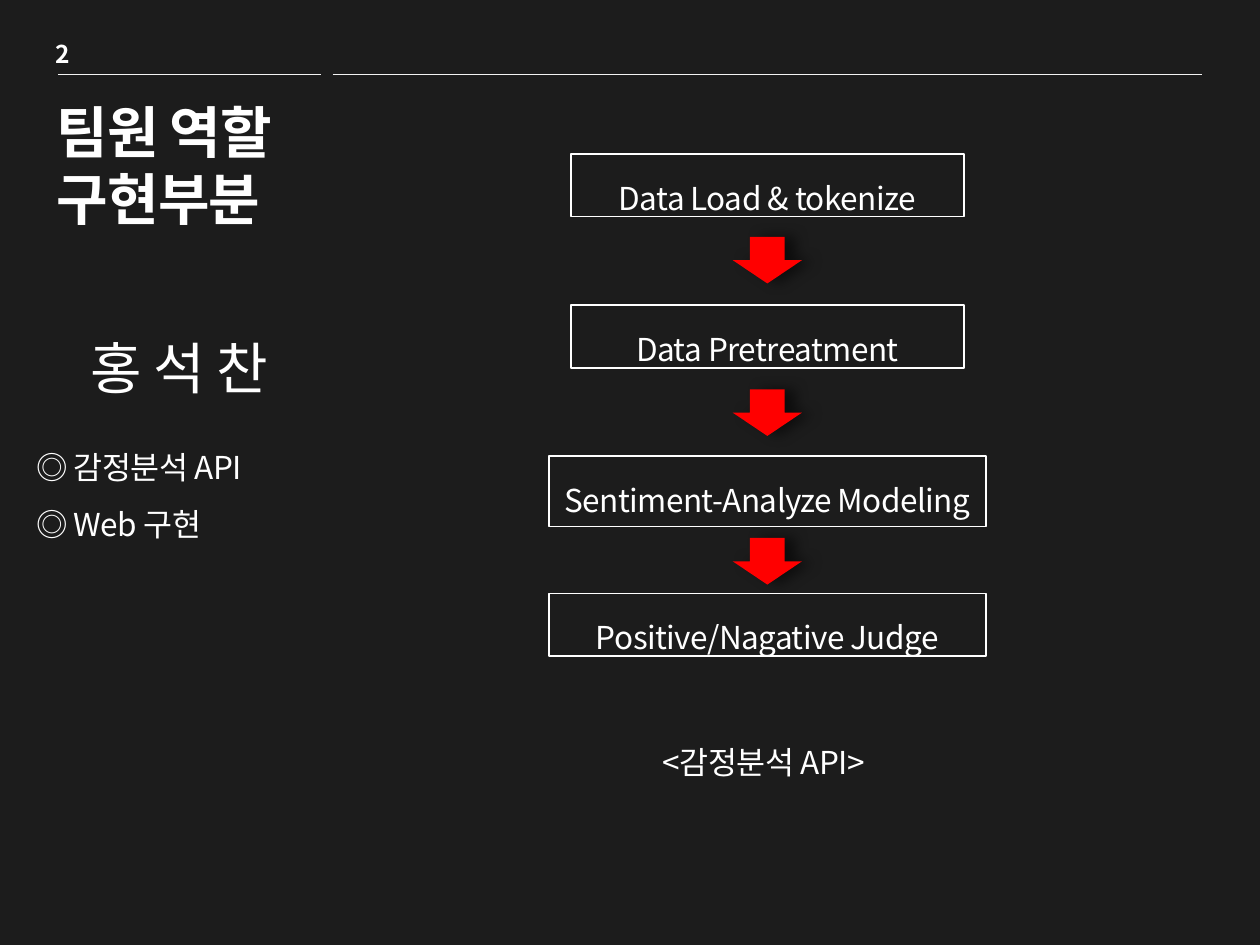
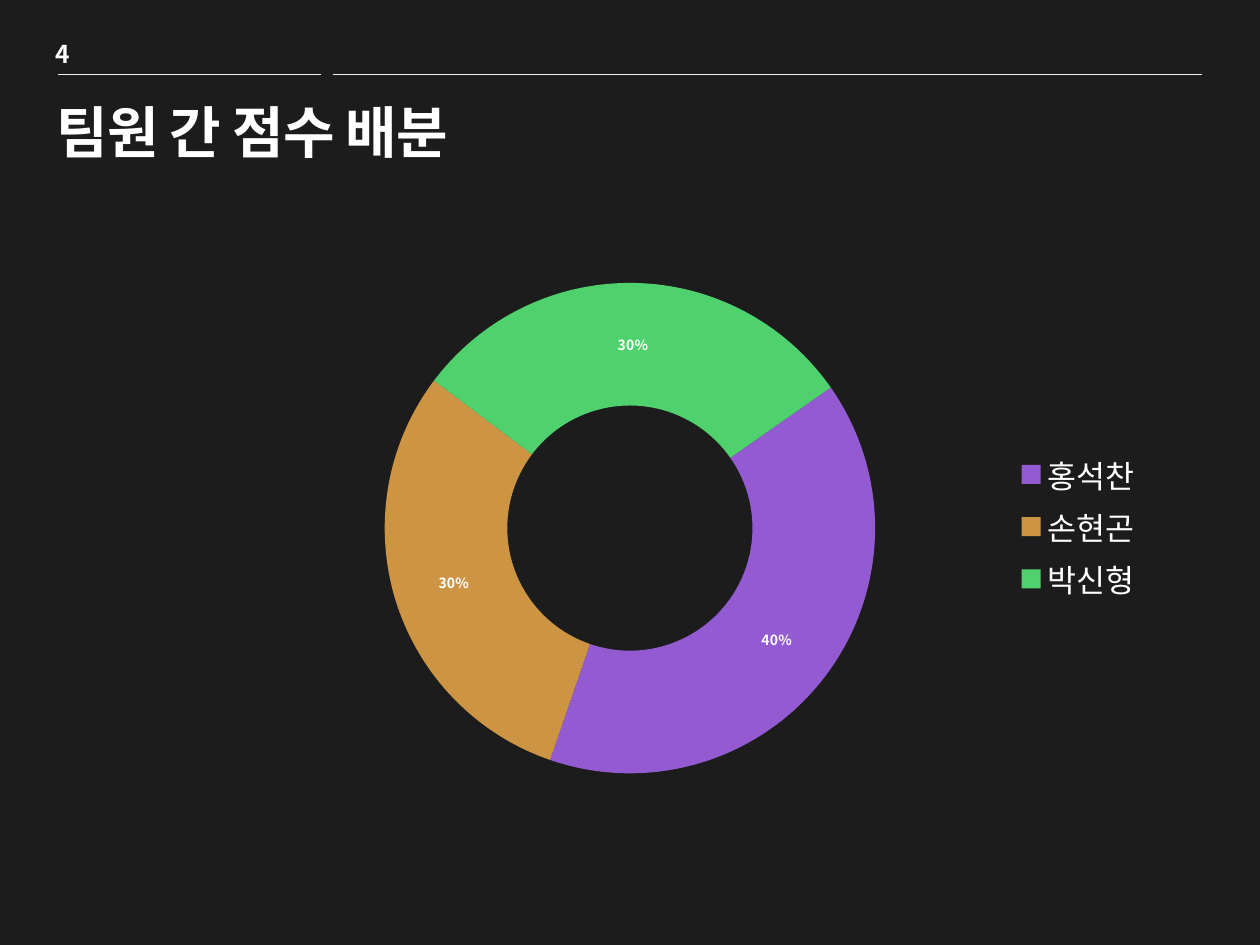
from dataclasses import dataclass
from typing import Optional

import lxml.etree
import pptx
import pptx.chart.data
import pptx.dml.color
import pptx.enum.chart
import pptx.enum.shapes
import pptx.enum.text
import pptx.oxml
import pptx.oxml.ns
import pptx.util
from pptx.util import Inches

FONT = "Noto Sans CJK KR"
COLOURS = {
    "background": "1C1C1C",
    "text": "FFFFFF",
    "rule": "F2F2F2",
    "arrow": "FF0000",
    "shadow": "000000",
    "purple": "935AD2",
    "ochre": "CD9543",
    "green": "4FD16E",
}
LEFT = pptx.enum.text.PP_ALIGN.LEFT
CENTER = pptx.enum.text.PP_ALIGN.CENTER
HEADER_Y = 0.59
HEADER_RULES = [(0.46, 2.55), (2.64, 9.54)]
FLOW_CENTER = 6.09
ARROW_WIDTH, ARROW_HEIGHT = 0.55, 0.37


@dataclass
class TextStyle:
    size: float
    bold: bool = False
    tracking: float = -0.3
    align: pptx.enum.text.PP_ALIGN = LEFT
    line_spacing: float = 1.5


@dataclass
class FlowStep:
    label: str
    top: float
    width: float
    height: float
    arrow_top: Optional[float] = None


@dataclass
class Share:
    member: str
    percent: int
    colour: str


TITLE = TextStyle(32, bold=True, tracking=-0.5, line_spacing=1.0)
PAGE_NUMBER = TextStyle(14, bold=True, tracking=-0.5, line_spacing=1.0)
MEMBER_NAME = TextStyle(32, align=CENTER)
BODY = TextStyle(18)
STEP = TextStyle(18, align=CENTER)

FLOW_STEPS = [
    FlowStep("Data Load & tokenize", 1.22, 3.12, 0.5, 1.88),
    FlowStep("Data Pretreatment", 2.42, 3.12, 0.5, 3.09),
    FlowStep("Sentiment-Analyze Modeling", 3.62, 3.47, 0.56, 4.27),
    FlowStep("Positive/Nagative Judge", 4.71, 3.47, 0.5),
]
SHARES = [
    Share("홍석찬", 40, "purple"),
    Share("손현곤", 30, "ochre"),
    Share("박신형", 30, "green"),
]


def colour(name: str) -> pptx.dml.color.RGBColor:
    return pptx.dml.color.RGBColor.from_string(COLOURS[name])


def style_font(font, size: float, bold: bool = False) -> None:
    font.name = FONT
    font.size = pptx.util.Pt(size)
    font.bold = bold
    font.color.rgb = colour("text")


def write_text(shape, text: str, style: TextStyle, wrap: bool = True) -> None:
    frame = shape.text_frame
    frame.text = text
    frame.word_wrap = wrap
    frame.auto_size = pptx.enum.text.MSO_AUTO_SIZE.NONE
    frame.vertical_anchor = pptx.enum.text.MSO_ANCHOR.TOP
    for paragraph in frame.paragraphs:
        paragraph.alignment = style.align
        paragraph.line_spacing = style.line_spacing
        for run in paragraph.runs:
            style_font(run.font, style.size, style.bold)
            properties = run._r.get_or_add_rPr()
            properties.set("spc", str(round(style.tracking * 100)))
            east_asian = pptx.oxml.parse_xml(
                f'<a:ea {pptx.oxml.ns.nsdecls("a")} typeface="{FONT}"/>'
            )
            properties.find(pptx.oxml.ns.qn("a:latin")).addnext(east_asian)


def add_text(slide, box: tuple, text: str, style: TextStyle, wrap: bool = True) -> None:
    shape = slide.shapes.add_textbox(*map(Inches, box))
    write_text(shape, text, style, wrap)


def add_rule(slide, start: float, end: float) -> None:
    line = slide.shapes.add_connector(
        pptx.enum.shapes.MSO_CONNECTOR.STRAIGHT,
        Inches(start), Inches(HEADER_Y), Inches(end), Inches(HEADER_Y),
    )
    line.line.color.rgb = colour("rule")
    line.line.width = pptx.util.Pt(0.25)
    lxml.etree.SubElement(line._element.spPr, pptx.oxml.ns.qn("a:effectLst"))


def add_titled_slide(presentation, number: int, title: str, width: float, height: float):
    slide = presentation.slides.add_slide(presentation.slide_layouts[5])
    heading = slide.shapes.title
    heading.left, heading.top = Inches(0.35), Inches(0.72)
    heading.width, heading.height = Inches(width), Inches(height)
    write_text(heading, title, TITLE)
    add_text(slide, (0.34, 0.26, 0.31, 0.34), str(number), PAGE_NUMBER, wrap=False)
    for start, end in HEADER_RULES:
        add_rule(slide, start, end)
    return slide


def add_flow_shape(slide, kind, top: float, width: float, height: float):
    """Add a preset shape centred on the axis of the flow."""
    shape = slide.shapes.add_shape(
        kind, Inches(FLOW_CENTER - width / 2), Inches(top), Inches(width), Inches(height)
    )
    shape.shadow.inherit = False
    return shape


def add_step(slide, step: FlowStep) -> None:
    box = add_flow_shape(
        slide, pptx.enum.shapes.MSO_SHAPE.RECTANGLE, step.top, step.width, step.height
    )
    box.fill.background()
    box.line.color.rgb = colour("text")
    box.line.width = pptx.util.Pt(1)
    write_text(box, step.label, STEP)


def add_arrow(slide, top: float) -> None:
    arrow = add_flow_shape(
        slide, pptx.enum.shapes.MSO_SHAPE.DOWN_ARROW, top, ARROW_WIDTH, ARROW_HEIGHT
    )
    arrow.fill.solid()
    arrow.fill.fore_color.rgb = colour("arrow")
    arrow.line.fill.background()
    effects = arrow._element.spPr.find(pptx.oxml.ns.qn("a:effectLst"))
    effects.append(pptx.oxml.parse_xml(
        f'<a:outerShdw {pptx.oxml.ns.nsdecls("a")} blurRad="{pptx.util.Pt(8)}" '
        f'dist="{pptx.util.Pt(6)}" dir="0" algn="l" rotWithShape="0">'
        f'<a:srgbClr val="{COLOURS["shadow"]}"><a:alpha val="55000"/></a:srgbClr>'
        "</a:outerShdw>"
    ))


def set_plot_layout(chart, x: float, y: float, width: float, height: float) -> None:
    plot_area = chart._chartSpace.chart.plotArea
    layout = plot_area.find(pptx.oxml.ns.qn("c:layout"))
    if layout is not None:
        plot_area.remove(layout)
    values = {"x": x, "y": y, "w": width, "h": height}
    sizes = "".join(f'<c:{key} val="{value}"/>' for key, value in values.items())
    plot_area.insert(0, pptx.oxml.parse_xml(
        f'<c:layout {pptx.oxml.ns.nsdecls("c")}><c:manualLayout>'
        '<c:layoutTarget val="inner"/><c:xMode val="edge"/><c:yMode val="edge"/>'
        f"{sizes}</c:manualLayout></c:layout>"
    ))


def add_share_chart(slide) -> None:
    data = pptx.chart.data.CategoryChartData()
    data.categories = [share.member for share in SHARES]
    data.add_series("Series 1", [share.percent for share in SHARES])
    chart = slide.shapes.add_chart(
        pptx.enum.chart.XL_CHART_TYPE.DOUGHNUT,
        Inches(0.83), Inches(1.78), Inches(8.34), Inches(4.8), data,
    ).chart
    style_font(chart.font, 18)
    chart.has_title = False
    chart.has_legend = True
    chart.legend.position = pptx.enum.chart.XL_LEGEND_POSITION.RIGHT
    chart.legend.include_in_layout = True
    style_font(chart.legend.font, 18)

    plot = chart.plots[0]
    plot.vary_by_categories = True
    for index, share in enumerate(SHARES):
        fill = plot.series[0].points[index].format.fill
        fill.solid()
        fill.fore_color.rgb = colour(share.colour)
    labels = plot.series[0].data_labels
    labels.show_percentage = True
    labels.show_value = False
    labels.number_format = "0%"
    labels.number_format_is_linked = False
    style_font(labels.font, 8, bold=True)

    for tag, value in (("c:firstSliceAng", 55), ("c:holeSize", 55)):
        plot._element.find(pptx.oxml.ns.qn(tag)).set("val", str(value))
    set_plot_layout(chart, 0.165, 0.097, 0.67, 0.811)


def build_role_slide(presentation) -> None:
    slide = add_titled_slide(presentation, 2, "팀원 역할 구현부분", 2.2, 1.61)
    add_text(slide, (0.38, 2.33, 2.09, 0.81), "홍 석 찬", MEMBER_NAME)
    add_text(slide, (0.19, 3.36, 2.52, 1.01), "◎ 감정분석 API\n◎ Web 구현", BODY)
    for step in FLOW_STEPS:
        add_step(slide, step)
        if step.arrow_top is not None:
            add_arrow(slide, step.arrow_top)
    add_text(slide, (5.16, 5.7, 1.87, 0.56), "<감정분석 API>", BODY)


def build_share_slide(presentation) -> None:
    slide = add_titled_slide(presentation, 4, "팀원 간 점수 배분", 3.94, 0.66)
    add_share_chart(slide)


def main() -> None:
    presentation = pptx.Presentation()
    presentation.slide_width, presentation.slide_height = Inches(10), Inches(7.5)
    background = presentation.slide_master.background.fill
    background.solid()
    background.fore_color.rgb = colour("background")
    build_role_slide(presentation)
    build_share_slide(presentation)
    presentation.save("out.pptx")


if __name__ == "__main__":
    main()
